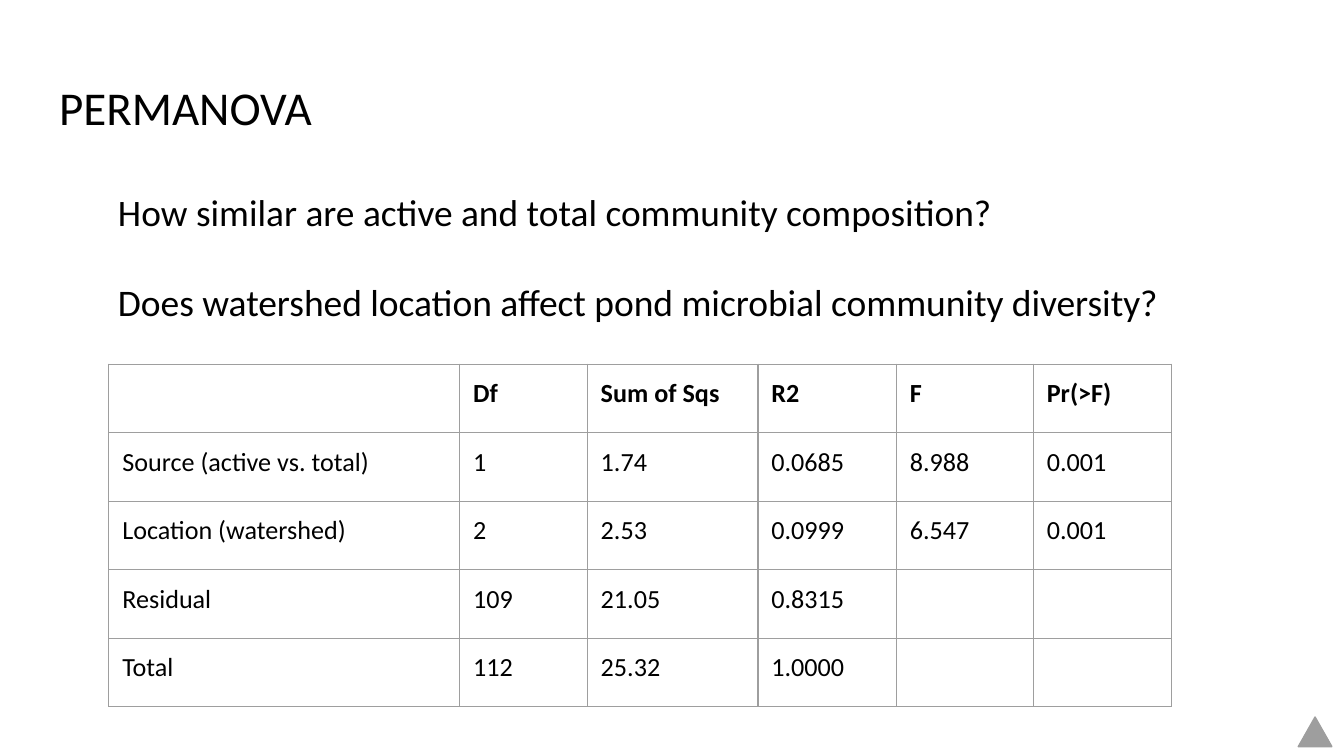
from dataclasses import dataclass

from lxml.etree import SubElement
from pptx import Presentation
from pptx.dml.color import RGBColor
from pptx.enum.shapes import MSO_SHAPE as Shape
from pptx.enum.text import MSO_ANCHOR as Anchor, PP_ALIGN as Align
from pptx.oxml.ns import qn
from pptx.util import Emu, Pt

PX = 4572  # 200 px to the inch
PAGE_WIDTH, PAGE_HEIGHT = 2000, 1125
INSET = 20
FONT = "Calibri"
COLORS = {"text": "000000", "gray": "9E9E9E"}
LINE_WIDTH = Pt(0.75)


@dataclass(frozen=True)
class Area:
    left: int
    top: int
    width: int
    height: int

    def emu(self) -> tuple[Emu, ...]:
        sides = (self.left, self.top, self.width, self.height)
        return tuple(Emu(side * PX) for side in sides)


@dataclass(frozen=True)
class Question:
    text: str
    size: float
    space_before: int = 0


TITLE_AREA = Area(68, 97, 1864, 126)
QUESTION_AREA = Area(156, 262, 1688, 242)
TRIANGLE_AREA = Area(1932, 1067, 50, 44)
TABLE_LEFT, TABLE_TOP, ROW_HEIGHT = 162, 542, 102
COLUMN_WIDTHS = (522, 190, 254, 206, 204, 206)

QUESTIONS = (
    Question("How similar are active and total community composition?", 20),
    Question("Does watershed location affect pond microbial community diversity?",
             20.1, 24),
)
RESULTS = (
    ("", "Df", "Sum of Sqs", "R2", "F", "Pr(>F)"),
    ("Source (active vs. total)", "1", "1.74", "0.0685", "8.988", "0.001"),
    ("Location (watershed)", "2", "2.53", "0.0999", "6.547", "0.001"),
    ("Residual", "109", "21.05", "0.8315", "", ""),
    ("Total", "112", "25.32", "1.0000", "", ""),
)


def color(name: str) -> RGBColor:
    return RGBColor.from_string(COLORS[name])


def add_span(para, text: str, size: float, bold: bool = False) -> None:
    span = para.add_run()
    span.text = text
    span.font.name = FONT
    span.font.size = Pt(size)
    span.font.bold = bold
    span.font.color.rgb = color("text")


def set_insets(holder) -> None:
    """Give a text frame or table cell equal margins on all sides."""
    holder.margin_left = holder.margin_right = Emu(INSET * PX)
    holder.margin_top = holder.margin_bottom = Emu(INSET * PX)


def set_borders(cell) -> None:
    properties = cell._tc.get_or_add_tcPr()
    for side in ("lnL", "lnR", "lnT", "lnB"):
        line = SubElement(properties, qn(f"a:{side}"), w=str(LINE_WIDTH))
        fill = SubElement(line, qn("a:solidFill"))
        SubElement(fill, qn("a:srgbClr"), val=COLORS["gray"])


def add_title(page) -> None:
    box = page.shapes.title
    box.left, box.top, box.width, box.height = TITLE_AREA.emu()
    frame = box.text_frame
    set_insets(frame)
    frame.vertical_anchor = Anchor.TOP
    para = frame.paragraphs[0]
    para.alignment = Align.LEFT
    add_span(para, "PERMANOVA", 25.2)


def add_results(page) -> None:
    area = Area(TABLE_LEFT, TABLE_TOP, sum(COLUMN_WIDTHS),
                ROW_HEIGHT * len(RESULTS))
    table = page.shapes.add_table(len(RESULTS), len(COLUMN_WIDTHS),
                                  *area.emu()).table
    table.horz_banding = False
    for column, width in zip(table.columns, COLUMN_WIDTHS):
        column.width = Emu(width * PX)
    for row_index, values in enumerate(RESULTS):
        for column_index, value in enumerate(values):
            cell = table.cell(row_index, column_index)
            set_insets(cell)
            set_borders(cell)
            cell.fill.background()
            if value:
                add_span(cell.text_frame.paragraphs[0], value, 14,
                         bold=row_index == 0)


def add_questions(page) -> None:
    frame = page.shapes.add_textbox(*QUESTION_AREA.emu()).text_frame
    frame.word_wrap = True
    set_insets(frame)
    for index, question in enumerate(QUESTIONS):
        para = frame.add_paragraph() if index else frame.paragraphs[0]
        para.space_before = Pt(question.space_before)
        add_span(para, question.text, question.size)


def add_triangle(page) -> None:
    triangle = page.shapes.add_shape(Shape.ISOSCELES_TRIANGLE,
                                     *TRIANGLE_AREA.emu())
    triangle.shadow.inherit = False
    triangle.fill.solid()
    triangle.fill.fore_color.rgb = color("gray")
    triangle.line.color.rgb = color("gray")
    triangle.line.width = LINE_WIDTH


def main() -> None:
    deck = Presentation()
    deck.slide_width = Emu(PAGE_WIDTH * PX)
    deck.slide_height = Emu(PAGE_HEIGHT * PX)
    page = deck.slides.add_slide(deck.slide_layouts.get_by_name("Title Only"))

    # Heading, results table, questions and corner mark
    add_title(page)
    add_results(page)
    add_questions(page)
    add_triangle(page)
    deck.save("out.pptx")


if __name__ == "__main__":
    main()
